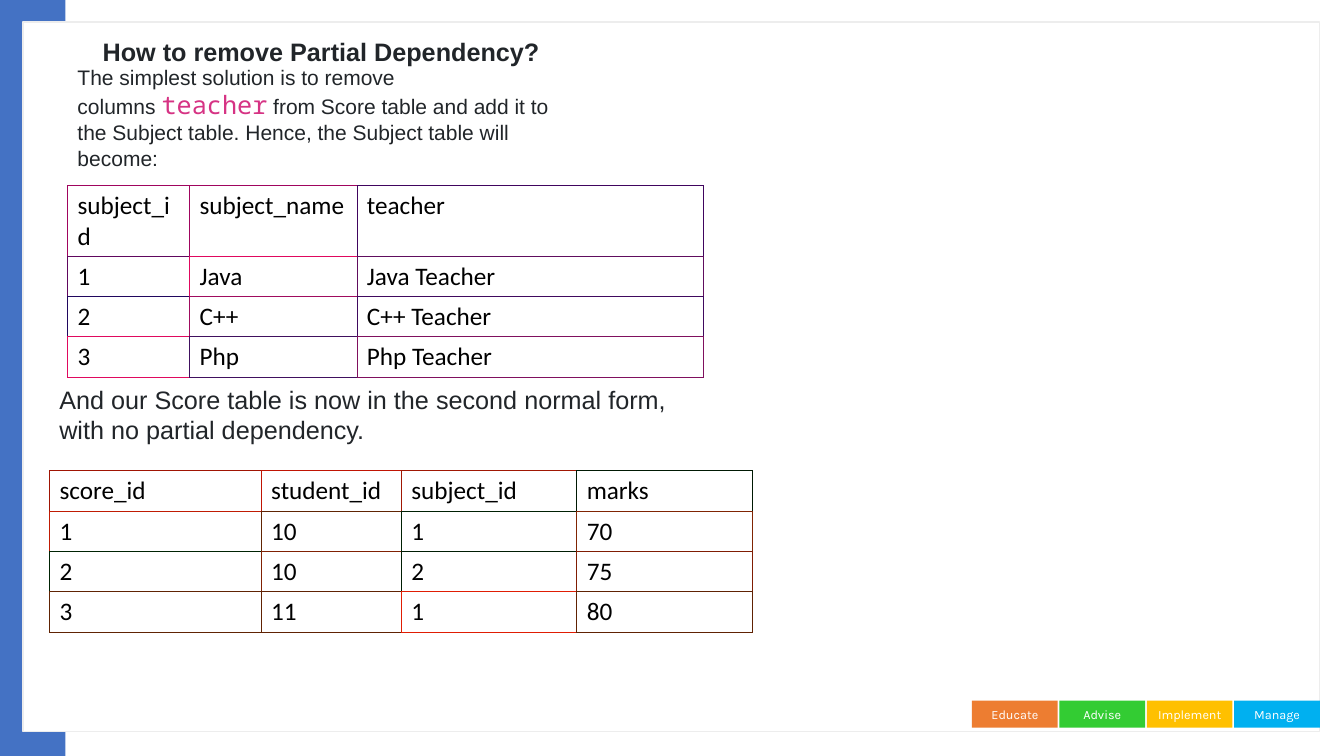
from dataclasses import dataclass

import pptx
import pptx.dml.color
import pptx.enum.shapes
import pptx.enum.text
import pptx.oxml.ns
import pptx.util
from lxml import etree

Inches = pptx.util.Inches
Pt = pptx.util.Pt
RGBColor = pptx.dml.color.RGBColor

WHITE = RGBColor(0xFF, 0xFF, 0xFF)
BLACK = RGBColor(0x00, 0x00, 0x00)
INK = RGBColor(0x21, 0x25, 0x29)
CODE_PINK = RGBColor(0xD6, 0x33, 0x84)
BAND_BLUE = RGBColor(0x44, 0x72, 0xC4)
FRAME_GREY = RGBColor(0xED, 0xED, 0xED)
ORANGE = RGBColor(0xED, 0x7D, 0x31)
GREEN = RGBColor(0x33, 0xCC, 0x33)
AMBER = RGBColor(0xFF, 0xC0, 0x00)
SKY = RGBColor(0x00, 0xB0, 0xF0)

BORDER_WIDTH = 0.6


@dataclass
class Box:
    left: float
    top: float
    width: float
    height: float

    def lengths(self) -> list[int]:
        return [Inches(v) for v in (self.left, self.top, self.width, self.height)]


@dataclass
class TextRun:
    text: str
    size: float
    color: RGBColor = INK
    font: str = "Arial"
    bold: bool = False


@dataclass
class TableSpec:
    """Cell text and border colours, both by row; each cell owns its left and top border."""
    left: float
    top: float
    columns: list[float]
    rows: list[float]
    cells: list[list[str]]
    borders: list[str]


FOOTER_LABELS = [("Educate", ORANGE), ("Advise", GREEN), ("Implement", AMBER), ("Manage", SKY)]
FOOTER_LEFT, FOOTER_PITCH = 9.64, 0.867

TITLE = [TextRun("How to remove Partial Dependency?", 18, bold=True)]
SOLUTION = [
    TextRun("The simplest solution is to remove columns\u00a0", 15),
    TextRun("teacher", 18, CODE_PINK, "Noto Sans Mono"),
    TextRun("\u00a0from Score table and add it to the Subject table. "
            "Hence, the Subject table will become:", 15),
]
CONCLUSION = [TextRun("And our Score table is now in the second normal form, "
                      "with no partial dependency.", 18)]

SUBJECT_TABLE = TableSpec(
    0.67, 1.84, [1.21, 1.66, 3.44], [0.7, 0.4, 0.4, 0.4],
    [["subject_id", "subject_name", "teacher"],
     ["1", "Java", "Java Teacher"],
     ["2", "C++", "C++ Teacher"],
     ["3", "Php", "Php Teacher"]],
    ["A0055E A0055E 40055E",
     "60075E E0085E 600D5E",
     "20075E A00B5E 40095E",
     "E0095E 40105E 80105E"],
)
SCORE_TABLE = TableSpec(
    0.49, 4.67, [2.1, 1.39, 1.74, 1.74], [0.4] * 4,
    [["score_id", "student_id", "subject_id", "marks"],
     ["1", "10", "1", "70"],
     ["2", "10", "2", "75"],
     ["3", "11", "1", "80"]],
    ["A01403 C01403 A01703 001903",
     "C01B03 602403 002003 802403",
     "002303 802103 001D03 801D03",
     "602303 602203 E01D03 602203"],
)


def add_runs(paragraph, runs: list[TextRun]) -> None:
    for item in runs:
        run = paragraph.add_run()
        run.text = item.text
        run.font.size = Pt(item.size)
        run.font.name = item.font
        run.font.bold = item.bold
        run.font.color.rgb = item.color


def add_rectangle(slide, box: Box, fill: RGBColor, line: RGBColor | None = None):
    shape = slide.shapes.add_shape(
        pptx.enum.shapes.MSO_SHAPE.RECTANGLE, *box.lengths())
    shape.shadow.inherit = False
    shape.fill.solid()
    shape.fill.fore_color.rgb = fill
    if line is None:
        shape.line.fill.background()
    else:
        shape.line.color.rgb = line
        shape.line.width = Pt(1)
    return shape


def add_text_box(slide, box: Box, runs: list[TextRun]) -> None:
    frame = slide.shapes.add_textbox(*box.lengths()).text_frame
    frame.word_wrap = True
    add_runs(frame.paragraphs[0], runs)


def fill_middle(shape, runs: list[TextRun], alignment) -> None:
    """Write vertically centred text without top and bottom insets."""
    frame = shape.text_frame
    frame.word_wrap = True
    frame.margin_top = frame.margin_bottom = 0
    frame.vertical_anchor = pptx.enum.text.MSO_ANCHOR.MIDDLE
    frame.paragraphs[0].alignment = alignment
    add_runs(frame.paragraphs[0], runs)


def set_borders(cell, colors: dict[str, str]) -> None:
    """Put border lines, keyed by tag, ahead of the cell's fill."""
    properties = cell._tc.get_or_add_tcPr()
    qn = pptx.oxml.ns.qn
    for position, (tag, color) in enumerate(colors.items()):
        line = etree.Element(qn(f"a:{tag}"), w=str(Pt(BORDER_WIDTH)))
        fill = etree.SubElement(line, qn("a:solidFill"))
        etree.SubElement(fill, qn("a:srgbClr"), val=color)
        properties.insert(position, line)


def add_grid(slide, spec: TableSpec) -> None:
    row_count, column_count = len(spec.rows), len(spec.columns)
    box = Box(spec.left, spec.top, sum(spec.columns), sum(spec.rows))
    table = slide.shapes.add_table(row_count, column_count, *box.lengths()).table
    table.first_row = table.horz_banding = False
    for column, width in zip(table.columns, spec.columns):
        column.width = Inches(width)
    for row, height in zip(table.rows, spec.rows):
        row.height = Inches(height)
    borders = [line.split() for line in spec.borders]
    for r, texts in enumerate(spec.cells):
        for c, text in enumerate(texts):
            cell = table.cell(r, c)
            cell.fill.solid()
            cell.fill.fore_color.rgb = WHITE
            add_runs(cell.text_frame.paragraphs[0], [TextRun(text, 18, BLACK, "Calibri")])
            own = borders[r][c]
            set_borders(cell, {
                "lnL": own,
                "lnR": borders[r][min(c + 1, column_count - 1)],
                "lnT": own,
                "lnB": borders[min(r + 1, row_count - 1)][c],
            })


def main() -> None:
    presentation = pptx.Presentation()
    presentation.slide_width = Inches(13.33)
    presentation.slide_height = Inches(7.5)
    slide = presentation.slides.add_slide(presentation.slide_layouts[6])
    align = pptx.enum.text.PP_ALIGN

    add_rectangle(slide, Box(0, 0, 0.65, 7.5), BAND_BLUE)
    add_rectangle(slide, Box(0.23, 0.22, 12.86, 7.04), WHITE, FRAME_GREY)
    for index, (label, color) in enumerate(FOOTER_LABELS):
        box = Box(FOOTER_LEFT + index * FOOTER_PITCH, 6.95, 0.85, 0.27)
        fill_middle(add_rectangle(slide, box, color),
                    [TextRun(label, 9, WHITE, "Karla")], align.CENTER)

    add_text_box(slide, Box(0.92, 0.31, 6.67, 0.4), TITLE)
    solution = add_rectangle(slide, Box(0.67, 0.71, 5.05, 0.91), WHITE)
    fill_middle(solution, SOLUTION, align.LEFT)
    add_grid(slide, SUBJECT_TABLE)
    add_text_box(slide, Box(0.49, 3.76, 6.67, 0.71), CONCLUSION)
    add_grid(slide, SCORE_TABLE)

    presentation.save("out.pptx")


if __name__ == "__main__":
    main()
